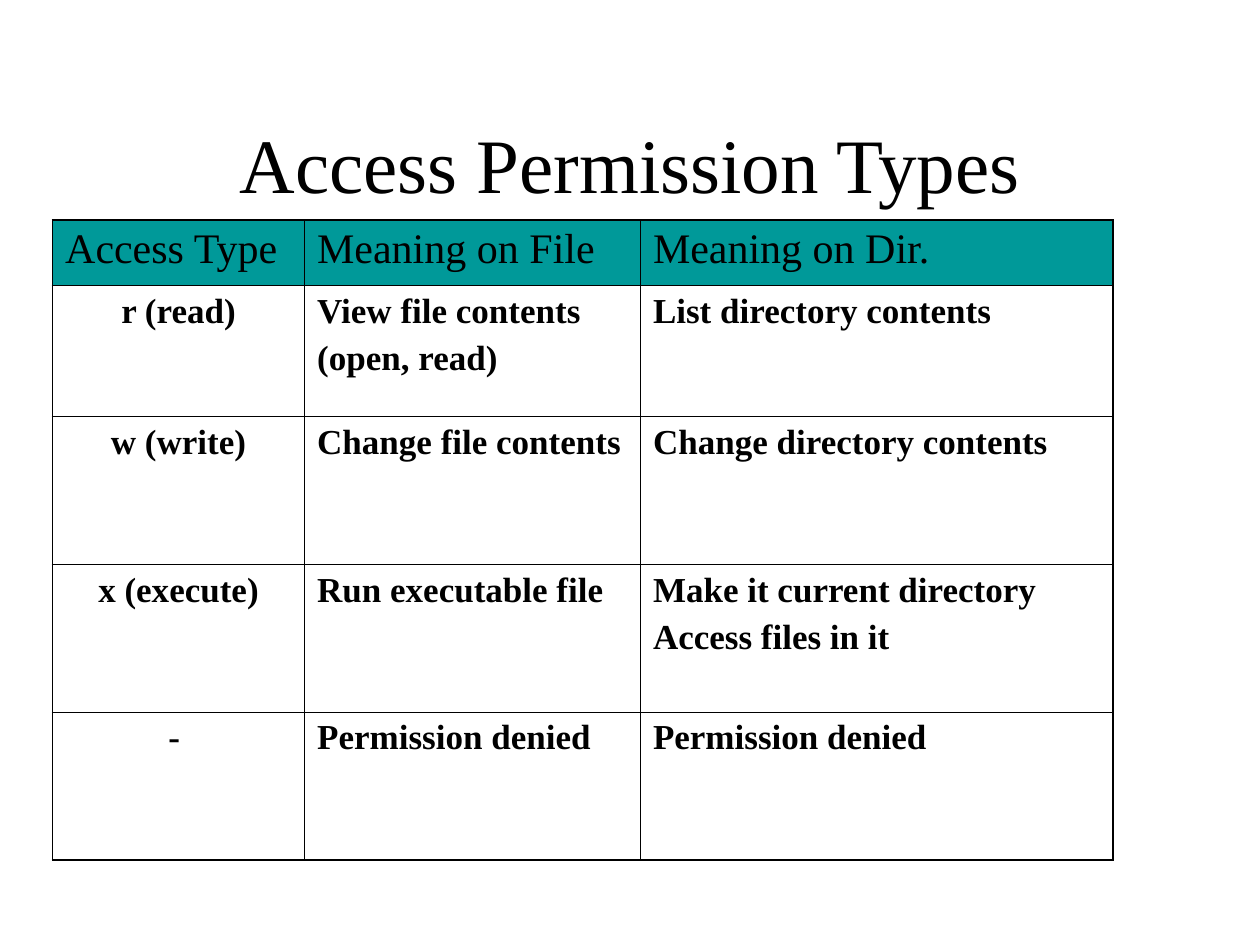
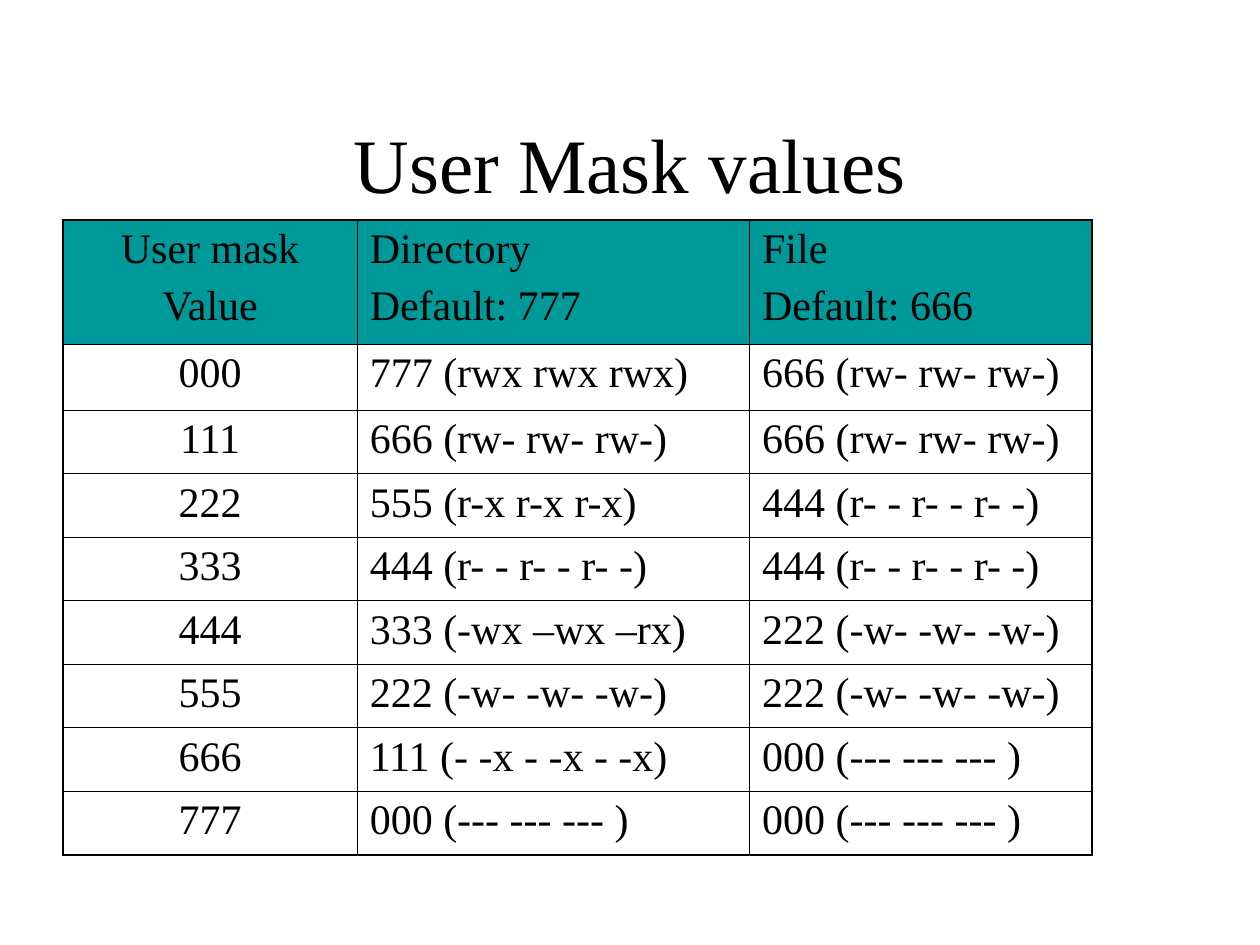
from lxml import etree
from pptx import Presentation
from pptx.dml.color import RGBColor
from pptx.enum import text
from pptx.oxml import ns
from pptx.util import Cm, Pt

COLORS = {"ink": "000000", "header": "009999"}
FONT = "Times New Roman"
THIN, THICK = Pt(0.45), Pt(1.08)
TABLE_TOP = Cm(4.44)

TITLE_FORMAT = {"name": FONT, "size": Pt(44), "bold": False}
LARGE_FORMAT = {"name": FONT, "size": Pt(24), "bold": False}
BOLD_FORMAT = {"name": FONT, "size": Pt(20), "bold": True}

SLIDES = [
    {
        "title": "Access Permission Types",
        "left": 1.06,
        "columns": [5.08, 6.77, 9.53],
        "rows": [1.32, 2.64] + [2.98] * 3,
        "center_header": False,
        "body_format": BOLD_FORMAT,
        "body_gap": Pt(5),
        "cells": [
            ["Access Type", "Meaning on File", "Meaning on Dir."],
            ["r (read)", "View file contents\n(open, read)", "List directory contents"],
            ["w (write)", "Change file contents", "Change directory contents"],
            ["x (execute)", "Run executable file",
             "Make it current directory\nAccess files in it"],
            ["- ", "Permission denied", "Permission denied"],
        ],
    },
    {
        "title": "User Mask values",
        "left": 1.27,
        "columns": [5.93, 7.91, 6.91],
        "rows": [2.5, 1.33] + [1.28] * 7,
        "center_header": True,
        "body_format": LARGE_FORMAT,
        "body_gap": Pt(6),
        "cells": [
            ["User mask\nValue", "Directory\nDefault: 777", "File\nDefault: 666"],
            ["000", "777 (rwx rwx rwx)", "666 (rw- rw- rw-)"],
            ["111", "666 (rw- rw- rw-)", "666 (rw- rw- rw-)"],
            ["222", "555 (r-x r-x r-x)", "444 (r- - r- - r- -)"],
            ["333", "444 (r- - r- - r- -)", "444 (r- - r- - r- -)"],
            ["444", "333 (-wx –wx –rx)", "222 (-w- -w- -w-)"],
            ["555", "222 (-w- -w- -w-)", "222 (-w- -w- -w-)"],
            ["666", "111 (- -x - -x - -x)", "000 (--- --- --- )"],
            ["777", "000 (--- --- --- )", "000 (--- --- --- )"],
        ],
    },
]


def write_lines(frame, content, font_format, centered, gap=0):
    """Fill a text frame with one paragraph per line of content."""
    for index, line in enumerate(content.split("\n")):
        paragraph = frame.add_paragraph() if index else frame.paragraphs[0]
        paragraph.alignment = text.PP_ALIGN.CENTER if centered else text.PP_ALIGN.LEFT
        if index:
            paragraph.space_before = gap
        run = paragraph.add_run()
        run.text = line
        for name, value in font_format.items():
            setattr(run.font, name, value)
        run.font.color.rgb = RGBColor.from_string(COLORS["ink"])


def add_borders(cell, outer_edges):
    """Draw thick lines on the table's outer edges and thin lines elsewhere."""
    properties = cell._tc.get_or_add_tcPr()
    for side, is_outer in outer_edges.items():
        width = THICK if is_outer else THIN
        line = etree.SubElement(properties, ns.qn(f"a:ln{side}"), w=str(int(width)))
        fill = etree.SubElement(line, ns.qn("a:solidFill"))
        etree.SubElement(fill, ns.qn("a:srgbClr"), val=COLORS["ink"])


presentation = Presentation()
presentation.slide_width, presentation.slide_height = Cm(25.4), Cm(19.05)

for content in SLIDES:
    slide = presentation.slides.add_slide(presentation.slide_layouts[6])

    # Title
    title = slide.shapes.add_textbox(Cm(1.9), Cm(1.7), Cm(21.6), Cm(3.18))
    title.text_frame.word_wrap = True
    title.text_frame.vertical_anchor = text.MSO_ANCHOR.MIDDLE
    write_lines(title.text_frame, content["title"], TITLE_FORMAT, centered=True)

    # Table grid
    columns, rows = content["columns"], content["rows"]
    table = slide.shapes.add_table(
        len(rows), len(columns), Cm(content["left"]), TABLE_TOP,
        Cm(sum(columns)), Cm(sum(rows)),
    ).table
    table.first_row = table.horz_banding = False
    for column, width in zip(table.columns, columns):
        column.width = Cm(width)
    for row, height in zip(table.rows, rows):
        row.height = Cm(height)

    # Table cells
    for row_index, row_cells in enumerate(content["cells"]):
        is_header = row_index == 0
        for column_index, cell_text in enumerate(row_cells):
            cell = table.cell(row_index, column_index)
            add_borders(cell, {
                "L": column_index == 0,
                "R": column_index == len(columns) - 1,
                "T": is_header,
                "B": row_index == len(rows) - 1,
            })
            if is_header:
                cell.fill.solid()
                cell.fill.fore_color.rgb = RGBColor.from_string(COLORS["header"])
            else:
                cell.fill.background()
            write_lines(
                cell.text_frame, cell_text,
                LARGE_FORMAT if is_header else content["body_format"],
                centered=column_index == 0 and (not is_header or content["center_header"]),
                gap=Pt(6) if is_header else content["body_gap"],
            )

presentation.save("out.pptx")
